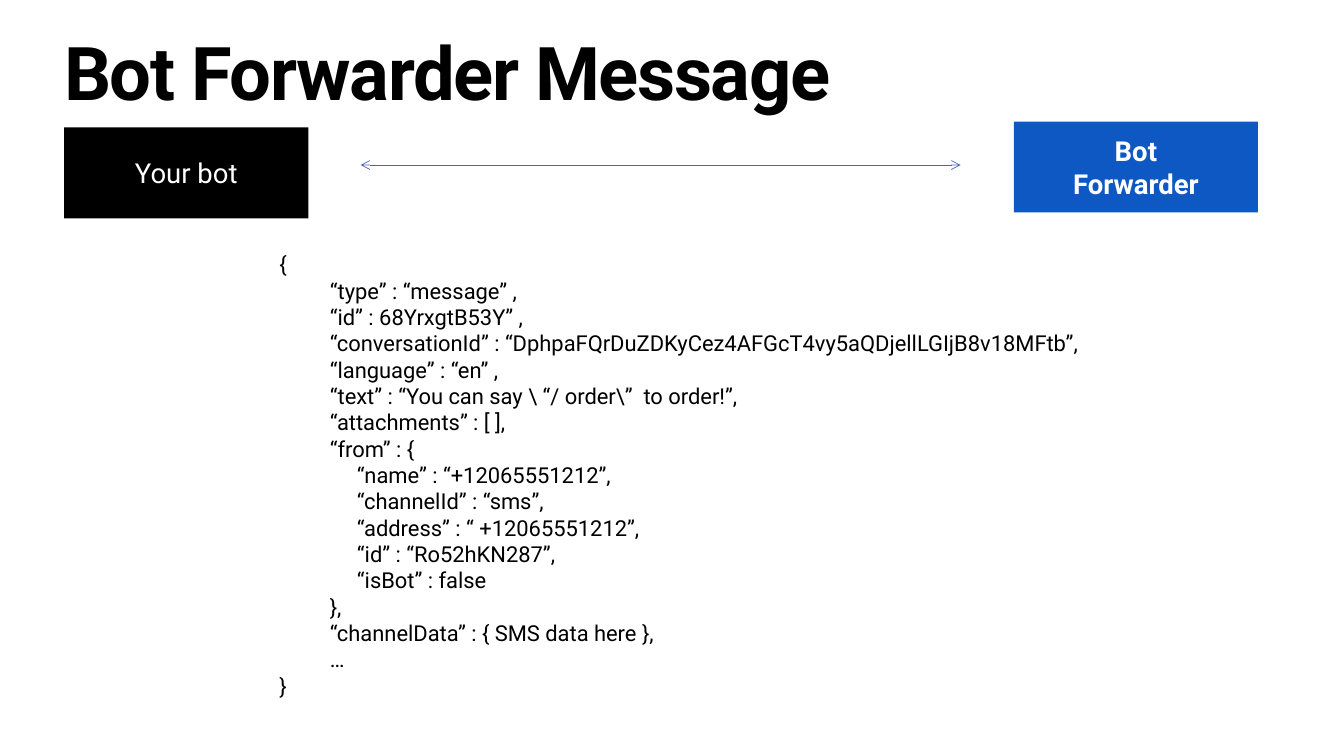
from dataclasses import dataclass

from lxml.etree import SubElement
from pptx import Presentation
from pptx.dml.color import RGBColor
from pptx.enum.shapes import MSO_CONNECTOR, MSO_SHAPE
from pptx.enum.text import MSO_ANCHOR, PP_ALIGN
from pptx.oxml.ns import qn
from pptx.slide import Slide
from pptx.text.text import _Paragraph as Paragraph
from pptx.util import Inches, Pt


@dataclass(frozen=True)
class Theme:
    font: str = "Roboto"
    black: RGBColor = RGBColor(0, 0, 0)
    white: RGBColor = RGBColor(255, 255, 255)
    blue: RGBColor = RGBColor(0x0E, 0x58, 0xC4)
    arrow: RGBColor = RGBColor(0x4A, 0x66, 0xAC)
    title_size: int = 54
    box_size: int = 20
    code_size: int = 16


@dataclass(frozen=True)
class Endpoint:
    lines: tuple[str, ...]
    left: float
    top: float
    fill: RGBColor
    bold: bool


THEME = Theme()

ENDPOINTS = (
    Endpoint(("Your bot",), 0.65, 1.29, THEME.black, False),
    Endpoint(("Bot", "Forwarder"), 10.26, 1.23, THEME.blue, True),
)

MESSAGE_FIELDS = (
    "“type” : “message” ,",
    "“id” : 68YrxgtB53Y” ,",
    "“conversationId” : “DphpaFQrDuZDKyCez4AFGcT4vy5aQDjellLGIjB8v18MFtb”,",
    "“language” : “en” ,",
    "“text” : “You can say \\ “/ order\\”  to order!”,",
    "“attachments” : [ ],",
    "“from” : {",
    "     “name” : “+12065551212”,",
    "     “channelId” : “sms”,",
    "     “address” : “ +12065551212”,",
    "     “id” : “Ro52hKN287”,",
    "     “isBot” : false",
    "},",
    "“channelData” : { SMS data here },",
    "…",
)


def add_run(paragraph: Paragraph, text: str, size: int, color: RGBColor, bold: bool = False):
    run = paragraph.add_run()
    run.text = text
    run.font.name = THEME.font
    run.font.size = Pt(size)
    run.font.bold = bold
    run.font.color.rgb = color
    return run


def add_text_frame(slide: Slide, left: float, top: float, width: float, height: float):
    shape = slide.shapes.add_textbox(Inches(left), Inches(top), Inches(width), Inches(height))
    shape.text_frame.word_wrap = True
    return shape.text_frame


def next_paragraph(text_frame, index: int) -> Paragraph:
    return text_frame.add_paragraph() if index else text_frame.paragraphs[0]


def add_title(slide: Slide, text: str) -> None:
    text_frame = add_text_frame(slide, 0.55, 0.27, 13, 1.14)
    text_frame.margin_top = Inches(0.1)
    paragraph = text_frame.paragraphs[0]
    paragraph.alignment = PP_ALIGN.JUSTIFY
    paragraph.line_spacing = 0.9
    run = add_run(paragraph, text, THEME.title_size, THEME.black, True)
    run.font._element.set("spc", "-100")


def add_endpoint(slide: Slide, endpoint: Endpoint) -> None:
    shape = slide.shapes.add_shape(
        MSO_SHAPE.RECTANGLE, Inches(endpoint.left), Inches(endpoint.top), Inches(2.47), Inches(0.92)
    )
    shape.shadow.inherit = False
    shape.fill.solid()
    shape.fill.fore_color.rgb = endpoint.fill
    shape.line.fill.background()
    shape.text_frame.word_wrap = True
    shape.text_frame.vertical_anchor = MSO_ANCHOR.MIDDLE
    for index, line in enumerate(endpoint.lines):
        paragraph = next_paragraph(shape.text_frame, index)
        paragraph.alignment = PP_ALIGN.CENTER
        add_run(paragraph, line, THEME.box_size, THEME.white, endpoint.bold)


def add_double_arrow(slide: Slide, left: float, right: float, top: float) -> None:
    connector = slide.shapes.add_connector(
        MSO_CONNECTOR.STRAIGHT, Inches(left), Inches(top), Inches(right), Inches(top)
    )
    connector.line.color.rgb = THEME.arrow
    connector.line.width = Pt(0.5)
    line = connector.line._get_or_add_ln()
    for end in ("a:headEnd", "a:tailEnd"):
        SubElement(line, qn(end), type="arrow")
    SubElement(connector._element.spPr, qn("a:effectLst"))


def add_message(slide: Slide, fields: tuple[str, ...]) -> None:
    text_frame = add_text_frame(slide, 2.73, 2.49, 10, 4.68)
    for index, line in enumerate(("{", *fields, "}")):
        paragraph = next_paragraph(text_frame, index)
        if 0 < index <= len(fields):
            paragraph.level = 1
            properties = paragraph._p.get_or_add_pPr()
            properties.set("marL", str(Inches(0.51)))
            properties.set("indent", "0")
        add_run(paragraph, line, THEME.code_size, THEME.black)


def main() -> None:
    presentation = Presentation()
    presentation.slide_width = Inches(13.6)
    presentation.slide_height = Inches(7.65)
    slide = presentation.slides.add_slide(presentation.slide_layouts[6])
    add_title(slide, "Bot Forwarder Message")
    for endpoint in ENDPOINTS:
        add_endpoint(slide, endpoint)
    add_double_arrow(slide, 3.65, 9.72, 1.67)
    add_message(slide, MESSAGE_FIELDS)
    presentation.save("out.pptx")


if __name__ == "__main__":
    main()
